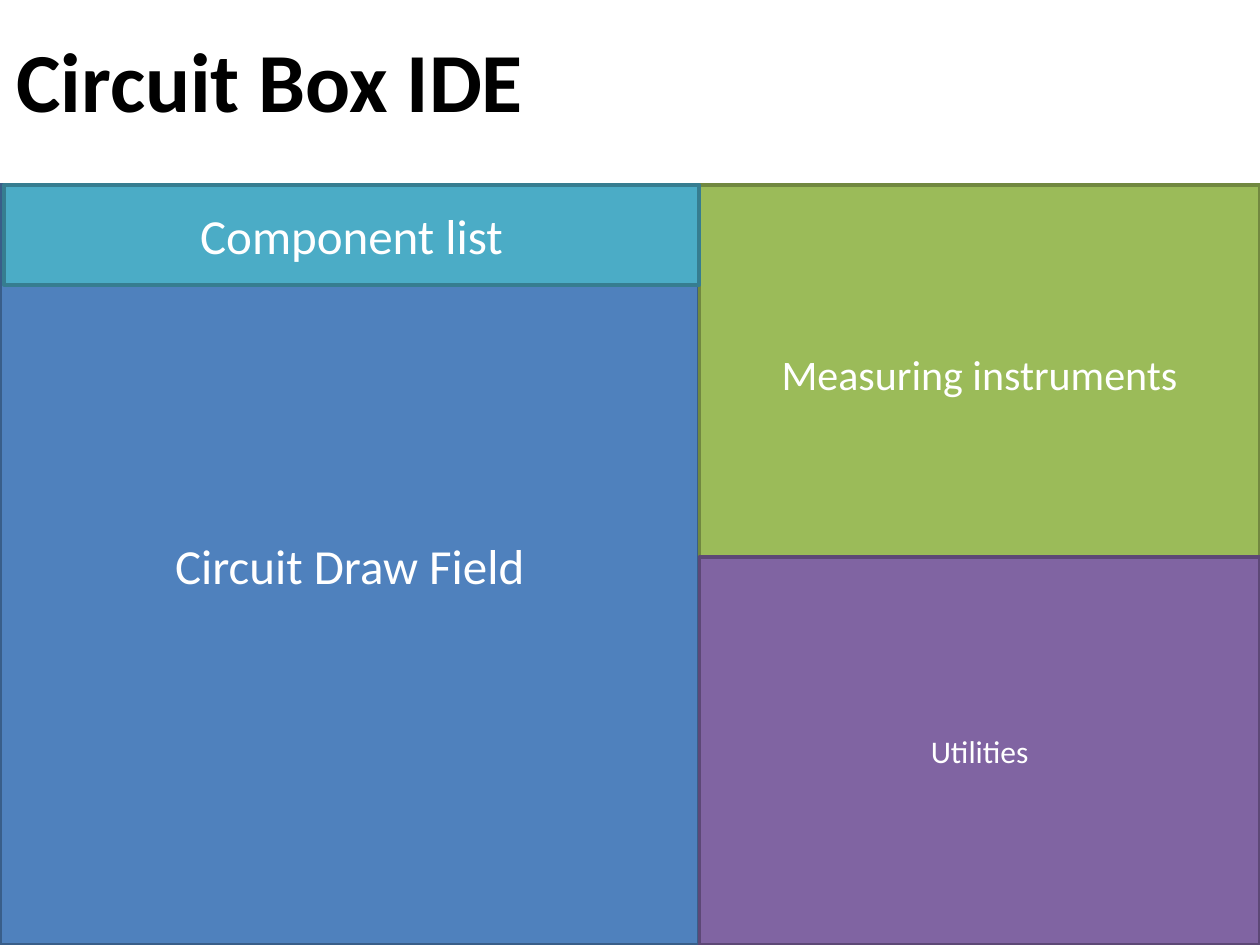
import pptx
import pptx.util
import pptx.dml.color
import pptx.enum.shapes
import pptx.enum.text

Inches = pptx.util.Inches
ALIGN = pptx.enum.text.PP_ALIGN
ANCHOR = pptx.enum.text.MSO_ANCHOR

COLORS = {
    "title": "000000",
    "label": "FFFFFF",
    "field": "4F81BD",
    "field_edge": "395E89",
    "instruments": "9BBB59",
    "instruments_edge": "718840",
    "utilities": "8064A2",
    "utilities_edge": "5D4876",
    "components": "4BACC6",
    "components_edge": "367D90",
}
SLIDE_WIDTH, SLIDE_HEIGHT = 10, 7.5
PANELS_TOP = 1.47
SPLIT = 5.55
UTILITIES_TOP = 4.42
LIST_LEFT = 0.03


def rgb(name):
    return pptx.dml.color.RGBColor.from_string(COLORS[name])


class SlideBuilder:
    """Holds the text style and the slide being built."""

    font_name = "Calibri"

    def __init__(self, slide):
        self.slide = slide

    def set_text(self, shape, text, size, color, align, anchor, bold=False):
        frame = shape.text_frame
        frame.text = text
        frame.word_wrap = True
        frame.vertical_anchor = anchor
        paragraph = frame.paragraphs[0]
        paragraph.alignment = align
        font = paragraph.font
        font.name = self.font_name
        font.size = pptx.util.Pt(size)
        font.bold = bold
        font.color.rgb = rgb(color)

    def title(self, text, left, top, width, height):
        heading = self.slide.shapes.title
        heading.left, heading.top = Inches(left), Inches(top)
        heading.width, heading.height = Inches(width), Inches(height)
        self.set_text(heading, text, 48, "title", ALIGN.LEFT, ANCHOR.TOP, bold=True)
        heading.text_frame.auto_size = pptx.enum.text.MSO_AUTO_SIZE.NONE

    def panel(self, text, size, color, left, top, right, bottom):
        panel = self.slide.shapes.add_shape(
            pptx.enum.shapes.MSO_SHAPE.RECTANGLE,
            Inches(left), Inches(top), Inches(right - left), Inches(bottom - top))
        panel.shadow.inherit = False
        panel.fill.solid()
        panel.fill.fore_color.rgb = rgb(color)
        panel.line.color.rgb = rgb(color + "_edge")
        panel.line.width = pptx.util.Pt(2)
        self.set_text(panel, text, size, "label", ALIGN.CENTER, ANCHOR.MIDDLE)


def main():
    deck = pptx.Presentation()
    deck.slide_width, deck.slide_height = Inches(SLIDE_WIDTH), Inches(SLIDE_HEIGHT)
    builder = SlideBuilder(deck.slides.add_slide(deck.slide_layouts.get_by_name("Title Only")))

    builder.title("Circuit Box IDE", LIST_LEFT, 0.18, 5.28, 0.91)
    builder.panel("Circuit Draw Field", 28, "field",
                  0, PANELS_TOP, SPLIT, SLIDE_HEIGHT)
    builder.panel("Measuring instruments", 24, "instruments",
                  SPLIT, PANELS_TOP, SLIDE_WIDTH, 4.46)
    builder.panel("Utilities", 18, "utilities",
                  SPLIT, UTILITIES_TOP, SLIDE_WIDTH, SLIDE_HEIGHT)
    builder.panel("Component list", 28, "components",
                  LIST_LEFT, PANELS_TOP, SPLIT, 2.26)

    deck.save("out.pptx")


if __name__ == "__main__":
    main()
